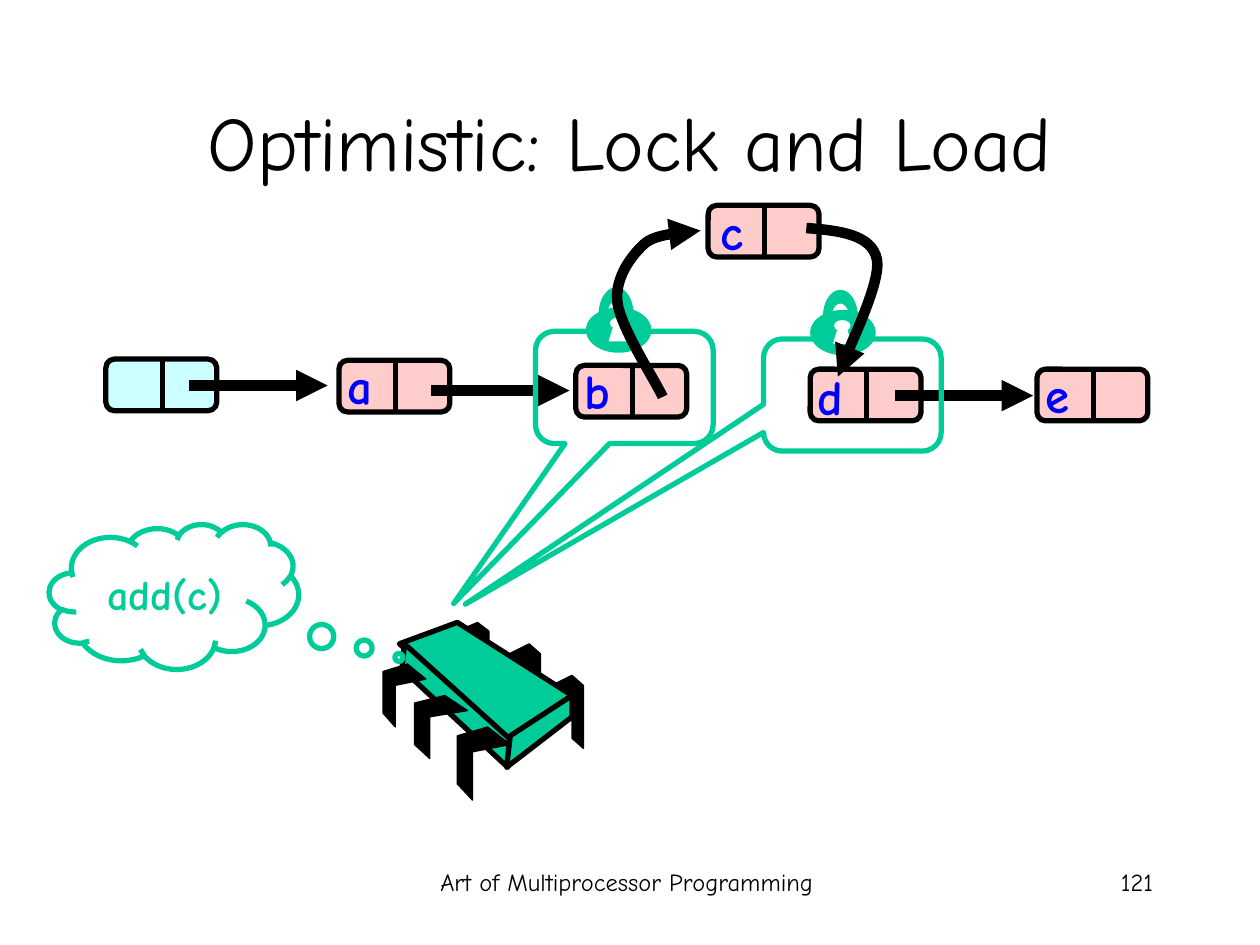
from dataclasses import dataclass
from math import cos, pi, sin

from lxml.etree import SubElement
from pptx import Presentation
from pptx.dml.color import RGBColor
from pptx.enum.shapes import MSO_CONNECTOR, MSO_SHAPE
from pptx.enum.text import MSO_ANCHOR, MSO_AUTO_SIZE, PP_ALIGN
from pptx.oxml.ns import qn
from pptx.util import Pt

PX = 9144  # EMU per px, 100 px to the inch


@dataclass(frozen=True)
class Theme:
    font: str = "Comic Neue"
    black: str = "000000"
    white: str = "FFFFFF"
    green: str = "00CC99"
    blue: str = "0000FF"
    pink: str = "FFCCCC"
    cyan: str = "CCFFFF"
    title: int = 44
    label: int = 28
    thought: int = 24
    footer: int = 14
    hairline: float = 0.75
    outline: int = 3
    arrow: int = 6


THEME = Theme()
NODE_W, NODE_H, DIVIDER = 88, 41, 45
BACK_LEG = [(0, 8), (16, 0), (25, 8), (25, 58), (16, 50), (16, 16), (0, 25)]
FRONT_LEG = [(24, 0), (42, 12), (12, 17), (12, 50), (0, 39), (0, 6)]


def emu(*lengths):
    return [round(length * PX) for length in lengths]


def shifted(points, left, top, across=1, down=1):
    return [(left + x * across, top + y * down) for x, y in points]


def write(shape, text, *, size, color=THEME.black, bold=False,
          align=PP_ALIGN.LEFT, anchor=MSO_ANCHOR.TOP, wrap=True):
    frame = shape.text_frame
    frame.word_wrap = wrap
    frame.auto_size = MSO_AUTO_SIZE.NONE if wrap else MSO_AUTO_SIZE.SHAPE_TO_FIT_TEXT
    frame.vertical_anchor = anchor
    para = frame.paragraphs[0]
    para.alignment = align
    span = para.add_run()
    span.text = text
    span.font.name = THEME.font
    span.font.size = Pt(size)
    span.font.bold = bold
    span.font.color.rgb = RGBColor.from_string(color)


def add_text(page, box, text, **style):
    write(page.shapes.add_textbox(*emu(*box)), text, **style)


def paint(shape, fill=None, line=None, width=THEME.outline):
    shape.shadow.inherit = False
    if fill:
        shape.fill.solid()
        shape.fill.fore_color.rgb = RGBColor.from_string(fill)
    else:
        shape.fill.background()
    if line:
        shape.line.color.rgb = RGBColor.from_string(line)
        shape.line.width = Pt(width)
    else:
        shape.line.fill.background()
    return shape


def add_preset(page, kind, box, adjustments=(), **style):
    shape = page.shapes.add_shape(kind, *emu(*box))
    for index, value in enumerate(adjustments):
        shape.adjustments[index] = value
    return paint(shape, **style)


def add_outline(page, points, closed=True, **style):
    first, *rest = [emu(*point) for point in points]
    builder = page.shapes.build_freeform(*first)
    builder.add_line_segments(rest, close=closed)
    return paint(builder.convert_to_shape(), **style)


def add_arrowhead(line):
    SubElement(line.line._get_or_add_ln(), qn("a:tailEnd"), type="triangle")


def add_line(page, start, end, width=THEME.outline):
    line = page.shapes.add_connector(MSO_CONNECTOR.STRAIGHT, *emu(*start, *end))
    line.line.color.rgb = RGBColor.from_string(THEME.black)
    line.line.width = Pt(width)
    SubElement(line._element.spPr, qn("a:effectLst"))
    return line


def add_straight_arrow(page, left, top, length=110):
    add_arrowhead(add_line(page, (left, top), (left + length, top), THEME.arrow))


def add_curved_arrow(page, left, top, start, curves, steps=16):
    """Draw cubic curves, each given as two control points and an end."""
    points = [start]
    for first, second, end in curves:
        origin = points[-1]
        for step in range(1, steps + 1):
            t = step / steps
            weights = ((1 - t) ** 3, 3 * t * (1 - t) ** 2, 3 * t * t * (1 - t), t ** 3)
            points.append(tuple(
                sum(weight * value for weight, value in zip(weights, axis))
                for axis in zip(origin, first, second, end)))
    add_arrowhead(add_outline(page, shifted(points, left, top), closed=False,
                              line=THEME.black, width=THEME.arrow))


def add_node(page, left, top, label="", fill=THEME.pink, label_at=(-3, -9)):
    add_preset(page, MSO_SHAPE.ROUNDED_RECTANGLE, (left, top, NODE_W, NODE_H),
               fill=fill, line=THEME.black)
    add_line(page, (left + DIVIDER, top), (left + DIVIDER, top + NODE_H))
    if label:
        dx, dy = label_at
        add_text(page, (left + dx, top + dy, 42, 57), label, size=THEME.label,
                 color=THEME.blue, bold=True, wrap=False)


def add_lock(page, left, top):
    add_preset(page, MSO_SHAPE.OVAL, (left, top + 16, 52, 36), fill=THEME.green)
    add_preset(page, MSO_SHAPE.OVAL, (left + 19, top + 24, 13, 9), fill=THEME.white)
    keyhole = [(18, 43), (22, 30), (29, 30), (33, 43)]
    add_outline(page, shifted(keyhole, left, top), fill=THEME.white)
    arch = [(cos(pi * step / 24), -sin(pi * step / 24)) for step in range(25)]
    center = (left + 24, top + 22)
    shackle = shifted(arch, *center, 14, 22) + shifted(arch[::-1], *center, 7, 11)
    add_outline(page, shackle, fill=THEME.green)


def add_chip(page, left, top):
    leg_style = {"fill": THEME.black, "line": THEME.black, "width": THEME.hairline}
    for x, y, height in ((134, 42, 58), (100, 17, 58), (59, 0, 50)):
        add_outline(page, shifted(BACK_LEG, left + x, top + y, 1, height / 58), **leg_style)
    faces = (
        [(59, 0), (150, 58), (99, 93), (13, 17)],
        [(17, 17), (100, 92), (99, 115), (15, 37)],
        [(150, 58), (150, 75), (98, 115), (101, 90)],
    )
    for face in faces:
        add_outline(page, shifted(face, left, top), fill=THEME.green, line=THEME.black)
    for x, y, width, height in ((59, 83, 42, 58), (25, 58, 42, 50), (0, 33, 34, 50)):
        add_outline(page, shifted(FRONT_LEG, left + x, top + y, width / 42, height / 50),
                    **leg_style)


def add_lock_callout(page, left, top, pointer):
    add_preset(page, MSO_SHAPE.ROUNDED_RECTANGULAR_CALLOUT, (left, top, 141, 89),
               (*pointer, 0.167), line=THEME.green)


def add_thought(page, box, text):
    cloud = add_preset(page, MSO_SHAPE.CLOUD_CALLOUT, box, (0.902, 0.42), line=THEME.green)
    write(cloud, text, size=THEME.thought, color=THEME.green, bold=True,
          align=PP_ALIGN.CENTER, anchor=MSO_ANCHOR.MIDDLE)


def add_title(page, box, text):
    title = page.shapes.title
    title.left, title.top, title.width, title.height = emu(*box)
    write(title, text, size=THEME.title, align=PP_ALIGN.CENTER, anchor=MSO_ANCHOR.MIDDLE)


def add_footer(page, top):
    add_text(page, (310, top, 375, 50), "Art of Multiprocessor Programming",
             size=THEME.footer, align=PP_ALIGN.CENTER)
    add_text(page, (717, top, 208, 50), "121", size=THEME.footer, align=PP_ALIGN.RIGHT)


def main():
    deck = Presentation()
    deck.slide_width, deck.slide_height = emu(1000, 750)
    page = deck.slides.add_slide(deck.slide_layouts[5])
    add_footer(page, 683)
    add_title(page, (75, 49, 850, 125), "Optimistic: Lock and Load")

    add_node(page, 84, 285, fill=THEME.cyan)
    add_node(page, 457, 290, "b")
    add_node(page, 643, 293, "d", label_at=(-4, -7))
    add_node(page, 823, 293, "e")
    add_node(page, 269, 286, "a")
    for left, top in ((150, 306), (710, 314), (342, 310)):
        add_straight_arrow(page, left, top)

    add_chip(page, 304, 494)
    add_lock_callout(page, 425, 263, (-0.961, 1.927))
    add_thought(page, (39, 416, 198, 115), "add(c)")
    add_lock_callout(page, 606, 269, (-2.179, 1.865))
    add_lock(page, 465, 228)
    add_lock(page, 643, 230)
    add_node(page, 562, 163, "c", label_at=(0, -8))

    add_curved_arrow(page, 488, 183, (38, 132), [
        ((31, 117), (5, 78), (2, 57)),
        ((0, 37), (13, 20), (24, 10)),
        ((35, 1), (61, 2), (68, 0)),
    ])
    add_curved_arrow(page, 640, 181, (0, 0), [
        ((26, 2), (52, 5), (56, 25)),
        ((60, 44), (30, 102), (25, 118)),
    ])
    deck.save("out.pptx")


if __name__ == "__main__":
    main()
